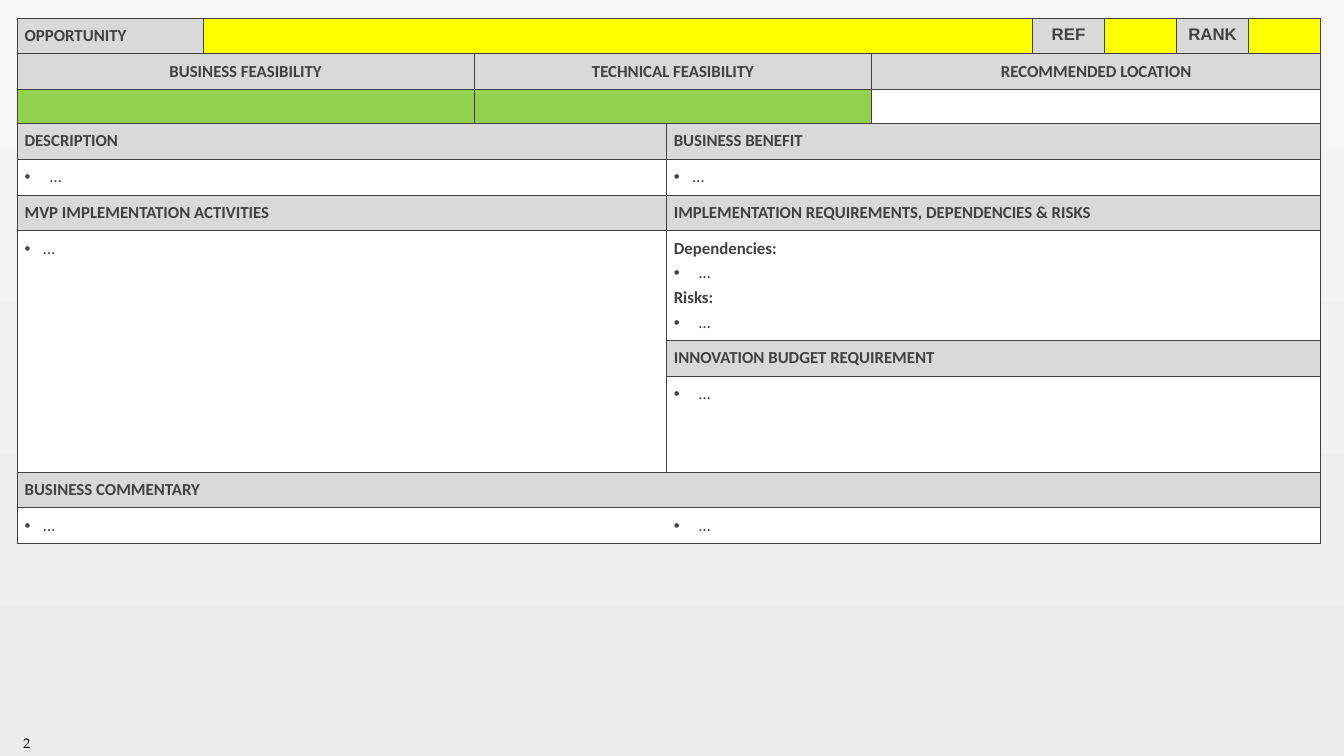
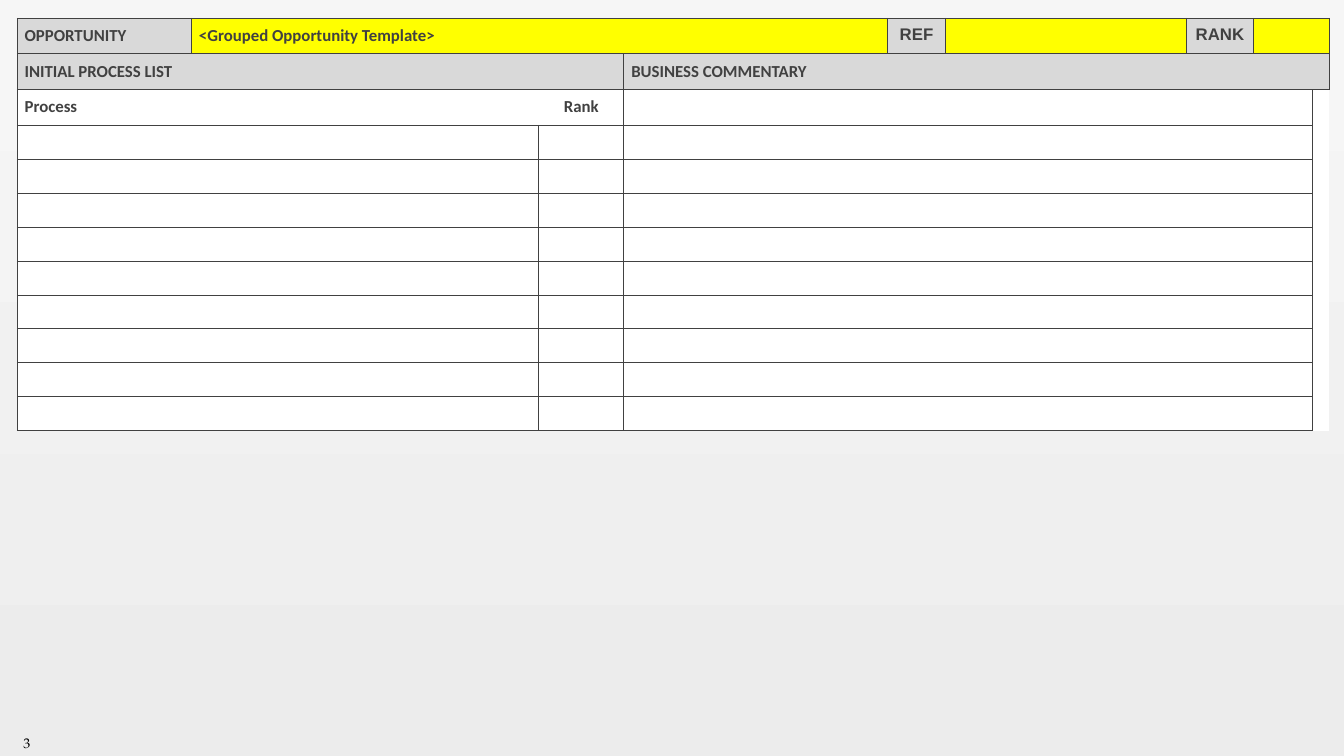
from lxml import etree
from pptx import Presentation
from pptx.dml.color import RGBColor
from pptx.enum.text import MSO_AUTO_SIZE, PP_ALIGN
from pptx.oxml.ns import qn
from pptx.util import Cm, Pt

LEFT, CENTER = PP_ALIGN.LEFT, PP_ALIGN.CENTER
GROW = MSO_AUTO_SIZE.SHAPE_TO_FIT_TEXT

COLORS = {
    "ink": "414141", "black": "000000", "label": "D9D9D9", "entry": "FFFF00",
    "feasible": "92D050", "white": "FFFFFF", "sky": "F6F6F6", "ground": "ECECEC",
}
NO_GRID_STYLE = "{2D5ABB26-0587-4C30-8999-92F81FD0307C}"
BODY_FONT, TAG_FONT, NUMBER_FONT = "Calibri", "Arial", "TeX Gyre Pagella"
TEXT_ROW, EMPTY_ROW = 1.8, 1.71
WIDE, NARROW = 1.27, 0.95
CELL_MARGINS = {f"margin_{side}": Cm(0.38) for side in ("left", "right", "top", "bottom")}
NUMBER_MARGINS = {name: Cm(0.3) for name in CELL_MARGINS}

LABEL = {"font": {"name": BODY_FONT, "size": Pt(24), "bold": True}, "align": LEFT, "hang": 0}
HEADING = {**LABEL, "align": CENTER}
TAG = {**HEADING, "font": {**LABEL["font"], "name": TAG_FONT}}
WIDE_BULLET = {**LABEL, "font": {**LABEL["font"], "bold": False}, "hang": WIDE}
BULLET = {**WIDE_BULLET, "hang": NARROW}


def set_all(target, values):
    for name, value in values.items():
        setattr(target, name, value)


def rgb(name):
    return RGBColor.from_string(COLORS[name])


def write_line(paragraph, text, style):
    set_all(paragraph, {"alignment": style["align"], "level": 1, "space_before": Pt(6)})
    properties = paragraph._p.get_or_add_pPr()
    properties.set("marL", str(Cm(style["hang"])))
    properties.set("indent", str(-Cm(style["hang"])))
    if style["hang"]:
        etree.SubElement(properties, qn("a:buFont")).set("typeface", "Arial")
        etree.SubElement(properties, qn("a:buChar")).set("char", "•")
    run = paragraph.add_run()
    run.text = text
    set_all(run.font, style["font"])
    run.font.color.rgb = rgb("ink")


def draw_borders(cell, sides):
    properties = cell._tc.get_or_add_tcPr()
    for position, side in enumerate(s for s in "LRTB" if s in sides):
        line = etree.Element(qn(f"a:ln{side}"), w=str(Pt(1)))
        solid = etree.SubElement(line, qn("a:solidFill"))
        etree.SubElement(solid, qn("a:srgbClr")).set("val", COLORS["ink"])
        properties.insert(position, line)


def fill_block(table, row, col, width=1, lines=(), fill="white", sides="LRTB", height=1):
    bottom, right = row + height - 1, col + width - 1
    origin = table.cell(row, col)
    if width > 1 or height > 1:
        origin.merge(table.cell(bottom, right))
    for r in range(row, bottom + 1):
        for c in range(col, right + 1):
            cell = table.cell(r, c)
            set_all(cell, CELL_MARGINS)
            cell.fill.solid()
            cell.fill.fore_color.rgb = rgb(fill)
            edges = {"L": c == col, "R": c == right, "T": r == row, "B": r == bottom}
            if cell is origin or (r, c) == (row, col):
                draw_borders(cell, sides)
            else:
                draw_borders(cell, [side for side in sides if edges[side]])
    for index, (text, style) in enumerate(lines):
        frame = origin.text_frame
        write_line(frame.add_paragraph() if index else frame.paragraphs[0], text, style)


def add_label(table, row, col, width, text, style=LABEL):
    fill_block(table, row, col, width, [(text, style)], "label")


def add_form(slide, widths, heights):
    table = slide.shapes.add_table(
        len(heights), len(widths), Cm(0.86), Cm(0.91), Cm(sum(widths)), Cm(sum(heights))
    ).table
    set_all(table, {"first_row": False, "horz_banding": False})
    table._tbl.tblPr.find(qn("a:tableStyleId")).text = NO_GRID_STYLE
    for column, width in zip(table.columns, widths):
        column.width = Cm(width)
    for row, height in zip(table.rows, heights):
        row.height = Cm(height)
    return table


def add_opportunity_row(table, ref_col, rank_width, opportunity=()):
    add_label(table, 0, 0, 1, "OPPORTUNITY")
    fill_block(table, 0, 1, ref_col - 1, opportunity, "entry")
    add_label(table, 0, ref_col, 1, "REF", TAG)
    fill_block(table, 0, ref_col + 1, fill="entry")
    add_label(table, 0, ref_col + 2, 1, "RANK", TAG)
    fill_block(table, 0, ref_col + 3, rank_width, fill="entry")


def add_page(deck, number):
    slide = deck.slides.add_slide(deck.slide_layouts[6])
    backdrop = slide.background.fill
    backdrop.gradient()
    backdrop.gradient_angle = 270
    for stop, color in zip(backdrop.gradient_stops, ("sky", "ground")):
        stop.color.rgb = rgb(color)
    frame = slide.shapes.add_textbox(Cm(0), Cm(36.7), Cm(2.72), Cm(1.47)).text_frame
    set_all(frame, {**NUMBER_MARGINS, "word_wrap": True, "auto_size": GROW})
    paragraph = frame.paragraphs[0]
    paragraph.alignment = CENTER
    run = paragraph.add_run()
    run.text = str(number)
    set_all(run.font, {"name": NUMBER_FONT, "size": Pt(20)})
    run.font.color.rgb = rgb("black")
    return slide


def build_opportunity(deck):
    widths = [9.4, 13.64, 9.68, 10.36, 8.1] + [3.63] * 4
    heights = [TEXT_ROW] * 2 + [EMPTY_ROW] + [TEXT_ROW] * 3 + [5.54, TEXT_ROW, 4.83] + [TEXT_ROW] * 2
    form = add_form(add_page(deck, 2), widths, heights)
    add_opportunity_row(form, 5, 1)

    assessments = [
        (0, 2, "BUSINESS FEASIBILITY", "feasible"),
        (2, 2, "TECHNICAL FEASIBILITY", "feasible"),
        (4, 5, "RECOMMENDED LOCATION", "white"),
    ]
    for col, width, title, fill in assessments:
        add_label(form, 1, col, width, title, HEADING)
        fill_block(form, 2, col, width, fill=fill)

    sections = [
        (3, 0, 3, "DESCRIPTION"),
        (3, 3, 6, "BUSINESS BENEFIT"),
        (5, 0, 3, "MVP IMPLEMENTATION ACTIVITIES"),
        (5, 3, 6, "IMPLEMENTATION REQUIREMENTS, DEPENDENCIES & RISKS"),
        (7, 3, 6, "INNOVATION BUDGET REQUIREMENT"),
        (9, 0, 9, "BUSINESS COMMENTARY"),
    ]
    for section in sections:
        add_label(form, *section)

    narrow, wide = ("…", BULLET), ("…", WIDE_BULLET)
    fill_block(form, 4, 0, 3, [wide])
    fill_block(form, 4, 3, 6, [narrow])
    fill_block(form, 6, 0, 3, [narrow], height=3)
    fill_block(form, 6, 3, 6, [("Dependencies:", LABEL), wide, ("Risks:", LABEL), wide])
    fill_block(form, 8, 3, 6, [wide])
    fill_block(form, 10, 0, 3, [narrow], sides="LTB")
    fill_block(form, 10, 3, 6, [wide], sides="RTB")


def build_grouped_opportunity(deck):
    process_count = 9
    widths = [8.79, 17.5, 4.29, 13.28, 2.95, 12.12, 3.4, 2.95, 0.46]
    heights = [TEXT_ROW] * 3 + [EMPTY_ROW] * process_count
    form = add_form(add_page(deck, 3), widths, heights)
    add_opportunity_row(form, 4, 2, [("<Grouped Opportunity Template>", LABEL)])
    add_label(form, 1, 0, 3, "INITIAL PROCESS LIST")
    add_label(form, 1, 3, 6, "BUSINESS COMMENTARY")
    fill_block(form, 2, 0, 2, [("Process", LABEL)], sides="LTB")
    fill_block(form, 2, 2, 1, [("Rank", HEADING)], sides="RTB")
    fill_block(form, 2, 8, sides="T", height=process_count + 1)
    for row in range(2, len(heights)):
        fill_block(form, row, 3, 5, sides="LTB")
    for row in range(3, len(heights)):
        fill_block(form, row, 0, 2)
        fill_block(form, row, 2)


def main():
    deck = Presentation()
    set_all(deck, {"slide_width": Cm(67.74), "slide_height": Cm(38.1)})
    build_opportunity(deck)
    build_grouped_opportunity(deck)
    deck.save("out.pptx")


main()
